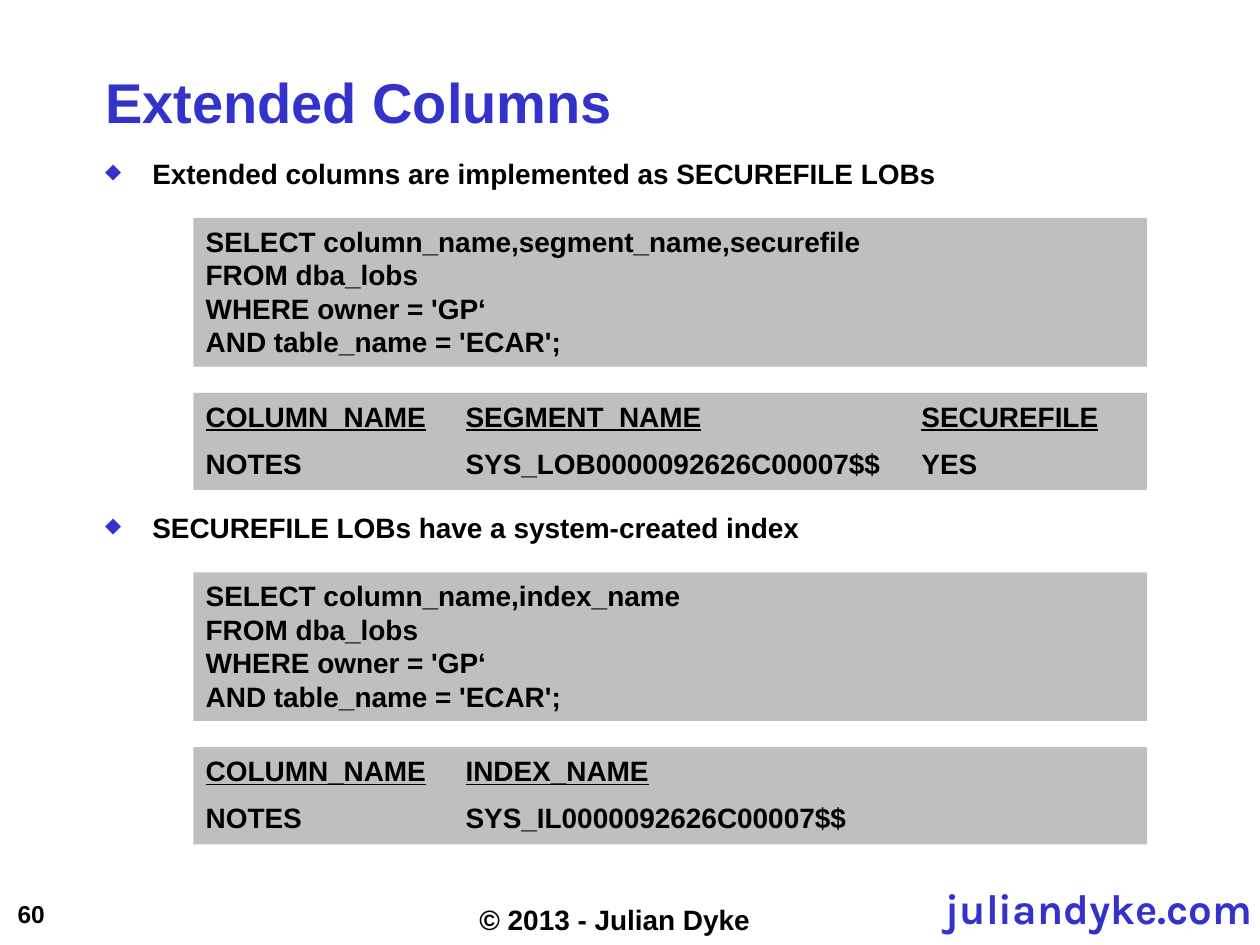
from pptx import Presentation
from pptx.dml.color import RGBColor
from pptx.enum.shapes import MSO_SHAPE
from pptx.enum.text import MSO_ANCHOR, PP_ALIGN
from pptx.oxml.ns import qn
from pptx.util import Pt
from lxml import etree

RECTANGLE = MSO_SHAPE.RECTANGLE
TOP, MIDDLE, BOTTOM = MSO_ANCHOR.TOP, MSO_ANCHOR.MIDDLE, MSO_ANCHOR.BOTTOM
LEFT, CENTER, RIGHT = PP_ALIGN.LEFT, PP_ALIGN.CENTER, PP_ALIGN.RIGHT

BLUE, BLACK, GREY = "3333CC", "000000", "BFBFBF"
TEXT_LEFT, TEXT_WIDTH = 60, 630
PANEL_LEFT, PANEL_WIDTH = 110.5, 545
BULLET_HEIGHT, CODE_HEIGHT, RESULT_HEIGHT = 35, 85, 55.5
COLUMN_TABS = (148.5, 409)
BULLET_INDENT = 27


def color(value):
    return RGBColor.from_string(value)


def add_span(para, text, size=16, font="Arial", fill=BLACK, bold=True, underline=False):
    span = para.add_run()
    span.text = text
    span.font.size = Pt(size)
    span.font.name = font
    span.font.bold = bold
    span.font.underline = underline
    span.font.color.rgb = color(fill)
    return span


def set_frame(box, anchor=TOP, insets=(7.2, 3.6, 7.2, 3.6), wrap=True):
    frame = box.text_frame
    frame.word_wrap = wrap
    frame.vertical_anchor = anchor
    (frame.margin_left, frame.margin_top,
     frame.margin_right, frame.margin_bottom) = map(Pt, insets)
    return frame


def add_text(page, text, left, top, width, height, anchor=TOP,
             insets=(7.2, 3.6, 7.2, 3.6), wrap=True, align=LEFT, spacing=None, **style):
    box = page.shapes.add_textbox(Pt(left), Pt(top), Pt(width), Pt(height))
    para = set_frame(box, anchor, insets, wrap).paragraphs[0]
    para.alignment = align
    para.line_spacing = spacing
    add_span(para, text, **style)
    return para


def add_bullet(page, text, left, top, width, height):
    para = add_text(page, text, left, top, width, height, insets=(0, 0, 7.2, 3.6))
    props = para._p.get_or_add_pPr()
    props.set("marL", str(Pt(BULLET_INDENT)))
    props.set("indent", str(-Pt(BULLET_INDENT)))
    tint = etree.SubElement(props, qn("a:buClr"))
    etree.SubElement(tint, qn("a:srgbClr"), val=BLUE)
    etree.SubElement(props, qn("a:buSzPct"), val="75000")
    etree.SubElement(props, qn("a:buChar"), char="◆")


def add_panel(page, left, top, width, height):
    panel = page.shapes.add_shape(RECTANGLE, Pt(left), Pt(top), Pt(width), Pt(height))
    panel.shadow.inherit = False
    panel.fill.solid()
    panel.fill.fore_color.rgb = color(GREY)
    panel.line.fill.background()
    return set_frame(panel)


def add_code(page, lines, left, top, width, height):
    para = add_panel(page, left, top, width, height).paragraphs[0]
    para.alignment = LEFT
    for number, line in enumerate(lines):
        if number:
            para.add_line_break()
        add_span(para, line)


def add_result(page, rows, left, top, width, height):
    frame = add_panel(page, left, top, width, height)
    for number, row in enumerate(rows):
        para = frame.add_paragraph() if number else frame.paragraphs[0]
        para.alignment = LEFT
        if number:
            para.space_before = Pt(8)
        tabs = etree.SubElement(para._p.get_or_add_pPr(), qn("a:tabLst"))
        for position in COLUMN_TABS:
            etree.SubElement(tabs, qn("a:tab"), pos=str(Pt(position)), algn="l")
        for column, value in enumerate(row):
            if column:
                add_span(para, "\t")
            add_span(para, value, underline=number == 0)


def add_section(page, top, heading, code, rows):
    """One bullet with its query and the query's result below."""
    add_bullet(page, heading, TEXT_LEFT, top, TEXT_WIDTH, BULLET_HEIGHT)
    add_code(page, code, PANEL_LEFT, top + 35, PANEL_WIDTH, CODE_HEIGHT)
    add_result(page, rows, PANEL_LEFT, top + 135, PANEL_WIDTH, RESULT_HEIGHT)


def add_footer(page, top):
    add_text(page, "60", 3, top + 1.5, 30, 24, anchor=MIDDLE, wrap=False, size=14)
    add_text(page, "© 2013 - Julian Dyke", 263, top + 6, 176.5, 22,
             insets=(7.2, 1.4, 7.2, 1.4), align=CENTER)
    add_text(page, "juliandyke.com", 524, top, 193, 26, insets=(1.4, 1.4, 1.4, 1.4),
             align=RIGHT, spacing=0.8, size=24, font="Karla", fill=BLUE)


def main():
    deck = Presentation()
    deck.slide_width, deck.slide_height = Pt(720), Pt(540)
    page = deck.slides.add_slide(deck.slide_layouts[6])

    # Title
    add_text(page, "Extended Columns", TEXT_LEFT, 6, TEXT_WIDTH, 71, anchor=BOTTOM,
             insets=(0, 3.6, 0, 0), size=32, fill=BLUE)

    # Queries and results
    conditions = ["FROM dba_lobs", "WHERE owner = 'GP‘", "AND table_name = 'ECAR';"]
    add_section(page, 89.5, "Extended columns are implemented as SECUREFILE LOBs",
                ["SELECT column_name,segment_name,securefile"] + conditions,
                [("COLUMN_NAME", "SEGMENT_NAME", "SECUREFILE"),
                 ("NOTES", "SYS_LOB0000092626C00007$$", "YES")])
    add_section(page, 292, "SECUREFILE LOBs have a system-created index",
                ["SELECT column_name,index_name"] + conditions,
                [("COLUMN_NAME", "INDEX_NAME"),
                 ("NOTES", "SYS_IL0000092626C00007$$")])

    # Footer
    add_footer(page, 508.5)

    deck.save("out.pptx")


if __name__ == "__main__":
    main()
